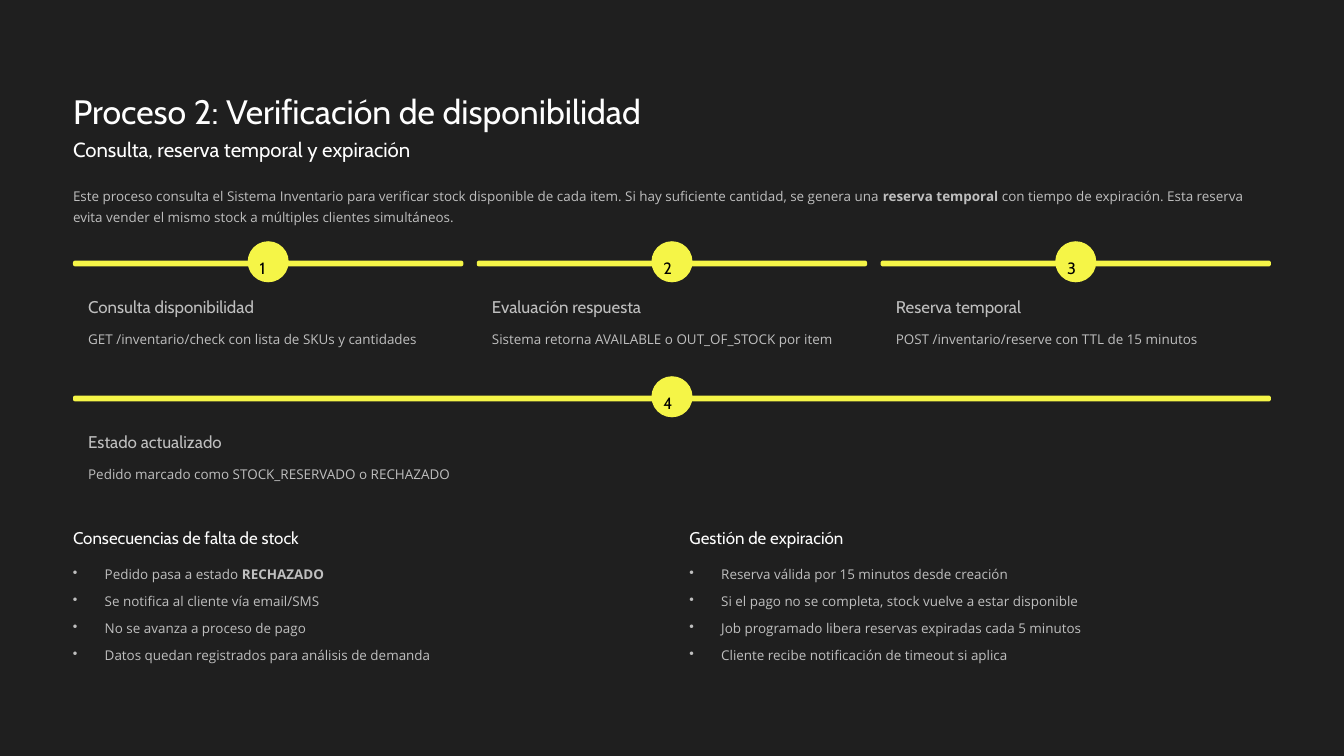
from dataclasses import dataclass

from lxml.etree import SubElement
from pptx import Presentation
from pptx.dml.color import RGBColor
from pptx.enum.shapes import MSO_SHAPE
from pptx.enum.text import MSO_ANCHOR, MSO_AUTO_SIZE, PP_ALIGN
from pptx.oxml.ns import qn
from pptx.shapes.autoshape import Shape
from pptx.slide import Slide
from pptx.util import Pt

BACKGROUND, YELLOW, BLACK = "1F1F1F", "F5F547", "000000"
WHITE, GREY = "FEFEFE", "BFBFBF"
HEADING_FONT, BODY_FONT = "Cabin", "Open Sans"

LEFT, CONTENT_WIDTH = 62.6, 1026.8
STEP_GAP, STEP_WIDTH = 11.5, 334.6
FIRST_ROW, SECOND_ROW = 223.4, 339.1
BAR_HEIGHT, CIRCLE_SIZE, STEP_PADDING = 5, 35.2, 13
LIST_TOP, LIST_WIDTH, LIST_PITCH = 451.4, 499, 528.4
BULLET_INDENT = 27.2


@dataclass
class Step:
    number: int
    heading: str
    detail: str
    left: float
    top: float
    width: float


@dataclass
class BulletList:
    heading: str
    items: list[str]


def column_left(index: int) -> float:
    return LEFT + index * (STEP_WIDTH + STEP_GAP)


STEPS = [
    Step(1, "Consulta disponibilidad", "GET /inventario/check con lista de SKUs y cantidades",
         column_left(0), FIRST_ROW, STEP_WIDTH),
    Step(2, "Evaluación respuesta", "Sistema retorna AVAILABLE o OUT_OF_STOCK por item",
         column_left(1), FIRST_ROW, STEP_WIDTH),
    Step(3, "Reserva temporal", "POST /inventario/reserve con TTL de 15 minutos",
         column_left(2), FIRST_ROW, STEP_WIDTH),
    Step(4, "Estado actualizado", "Pedido marcado como STOCK_RESERVADO o RECHAZADO",
         LEFT, SECOND_ROW, CONTENT_WIDTH),
]

LISTS = [
    BulletList("Consecuencias de falta de stock", [
        "Pedido pasa a estado **RECHAZADO**",
        "Se notifica al cliente vía email/SMS",
        "No se avanza a proceso de pago",
        "Datos quedan registrados para análisis de demanda",
    ]),
    BulletList("Gestión de expiración", [
        "Reserva válida por 15 minutos desde creación",
        "Si el pago no se completa, stock vuelve a estar disponible",
        "Job programado libera reservas expiradas cada 5 minutos",
        "Cliente recibe notificación de timeout si aplica",
    ]),
]

INTRODUCTION = (
    "Este proceso consulta el Sistema Inventario para verificar stock disponible de cada item. "
    "Si hay suficiente cantidad, se genera una **reserva temporal** con tiempo de expiración. "
    "Esta reserva evita vender el mismo stock a múltiples clientes simultáneos."
)


def color(value: str) -> RGBColor:
    return RGBColor.from_string(value)


def place(shape: Shape, left: float, top: float, width: float, height: float) -> None:
    shape.left, shape.top = Pt(left), Pt(top)
    shape.width, shape.height = Pt(width), Pt(height)


def write(box: Shape, *lines: str, size: float = 11.5, font: str = BODY_FONT,
          fill: str = GREY, line_height: float = 18.5, wrap: bool = False,
          bullets: bool = False, gap: float = 0) -> None:
    """Fill a box with one paragraph a line; text between ** marks is bold."""
    frame = box.text_frame
    frame.auto_size = MSO_AUTO_SIZE.NONE
    frame.word_wrap = wrap
    frame.vertical_anchor = MSO_ANCHOR.TOP
    frame.margin_left = frame.margin_top = frame.margin_right = frame.margin_bottom = 0
    for index, line in enumerate(lines):
        para = frame.add_paragraph() if index else frame.paragraphs[0]
        if bullets:
            properties = para._p.get_or_add_pPr()
            properties.set("marL", str(Pt(BULLET_INDENT)))
            properties.set("indent", str(-Pt(BULLET_INDENT)))
            SubElement(properties, qn("a:buChar")).set("char", "•")
        para.alignment = PP_ALIGN.LEFT
        para.line_spacing = Pt(line_height)
        if index:
            para.space_before = Pt(gap)
        for part, text in enumerate(line.split("**")):
            if text:
                span = para.add_run()
                span.text = text
                span.font.name, span.font.size = font, Pt(size)
                span.font.bold = part % 2 == 1
                span.font.color.rgb = color(fill)


def add_text(page: Slide, left: float, top: float, width: float, height: float,
             *lines: str, **text_format) -> None:
    box = page.shapes.add_textbox(Pt(left), Pt(top), Pt(width), Pt(height))
    write(box, *lines, **text_format)


def add_heading(page: Slide, left: float, top: float, text: str, fill: str) -> None:
    add_text(page, left, top, 218, 18, text, size=14.5, font=HEADING_FONT,
             fill=fill, line_height=18)


def add_yellow_shape(page: Slide, kind: MSO_SHAPE, left: float, top: float,
                     width: float, height: float) -> Shape:
    shape = page.shapes.add_shape(kind, Pt(left), Pt(top), Pt(width), Pt(height))
    shape.shadow.inherit = False
    shape.fill.solid()
    shape.fill.fore_color.rgb = color(YELLOW)
    shape.line.fill.background()
    return shape


def add_step(page: Slide, step: Step) -> None:
    bar = add_yellow_shape(page, MSO_SHAPE.ROUNDED_RECTANGLE,
                           step.left, step.top, step.width, BAR_HEIGHT)
    bar.adjustments[0] = 0.37
    circle_left = step.left + (step.width - CIRCLE_SIZE) / 2
    add_yellow_shape(page, MSO_SHAPE.OVAL, circle_left, step.top - 16.6,
                     CIRCLE_SIZE, CIRCLE_SIZE)
    add_text(page, circle_left + 10.2, step.top - 7.6, 14.4, 17.3, str(step.number),
             size=14, font=HEADING_FONT, fill=BLACK, line_height=22.5)
    text_left = step.left + STEP_PADDING
    add_heading(page, text_left, step.top + 30.2, step.heading, GREY)
    add_text(page, text_left, step.top + 55.8, step.width - 2 * STEP_PADDING, 18.7, step.detail)


def add_bullet_list(page: Slide, left: float, content: BulletList) -> None:
    add_heading(page, left, LIST_TOP, content.heading, WHITE)
    add_text(page, left, LIST_TOP + 29.5, LIST_WIDTH, 88, *content.items,
             bullets=True, gap=4.5)


def main() -> None:
    deck = Presentation()
    deck.slide_width, deck.slide_height = Pt(1152), Pt(648)
    page = deck.slides.add_slide(deck.slide_layouts[5])
    page.background.fill.solid()
    page.background.fill.fore_color.rgb = color(BACKGROUND)

    # Title, subtitle and introduction
    title = page.shapes.title
    place(title, LEFT, 75.6, 546.5, 36.7)
    write(title, "Proceso 2: Verificación de disponibilidad", size=29,
          font=HEADING_FONT, fill=WHITE, line_height=36.5)
    add_text(page, LEFT, 116.6, 322, 22.3, "Consulta, reserva temporal y expiración",
             size=17.5, font=HEADING_FONT, fill=WHITE, line_height=21.5)
    add_text(page, LEFT, 156.2, CONTENT_WIDTH, 37.4, INTRODUCTION, wrap=True)

    # Process steps
    for step in STEPS:
        add_step(page, step)

    # Bullet lists
    for index, content in enumerate(LISTS):
        add_bullet_list(page, LEFT + index * LIST_PITCH, content)

    deck.save("out.pptx")


if __name__ == "__main__":
    main()
